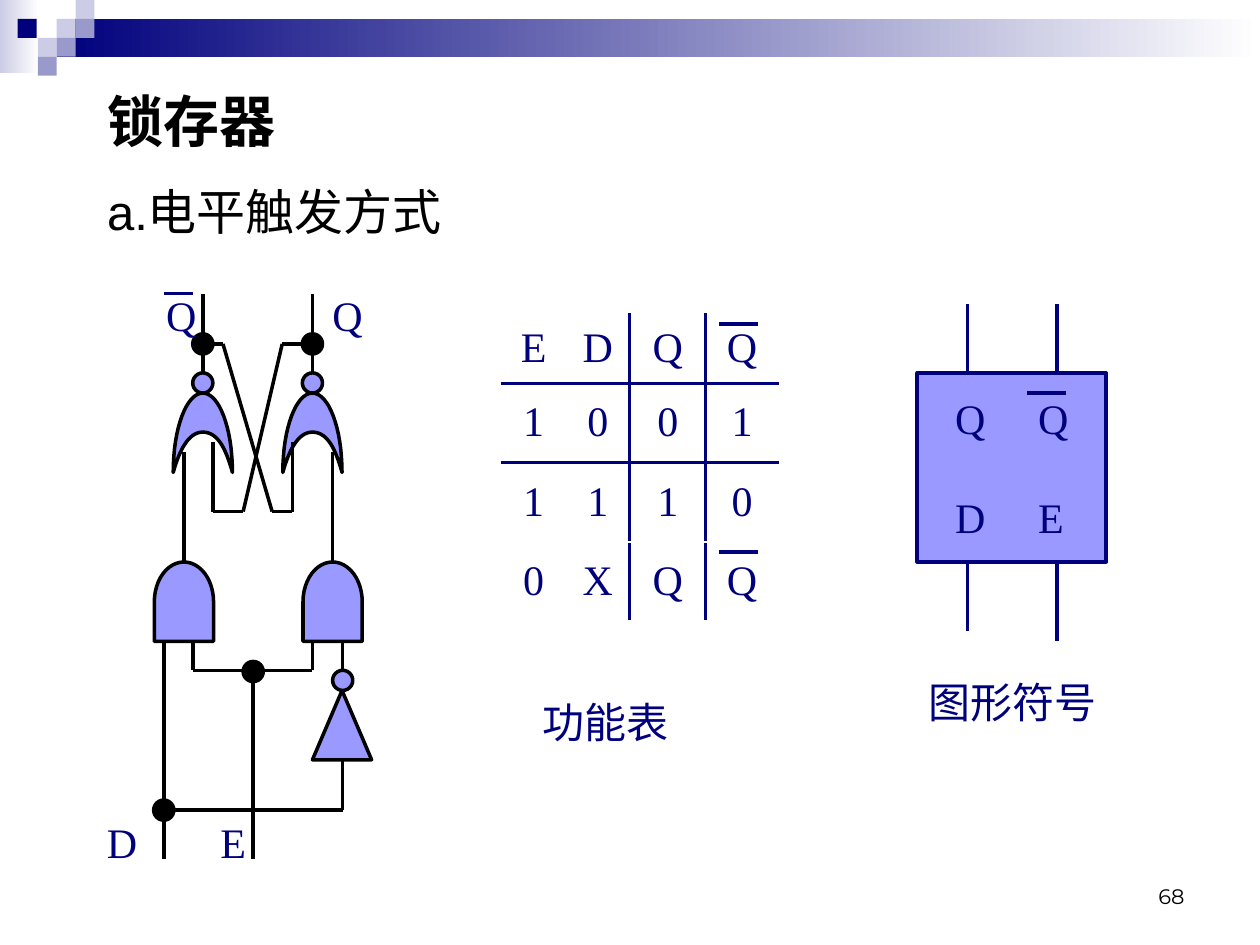
import pptx
import pptx.util
import pptx.dml.color
import pptx.enum.shapes
import pptx.enum.text
import pptx.oxml.ns
import lxml.etree

Inches, Pt = pptx.util.Inches, pptx.util.Pt
SHAPE = pptx.enum.shapes.MSO_SHAPE
ALIGN = pptx.enum.text.PP_ALIGN
ANCHOR = pptx.enum.text.MSO_ANCHOR
qn = pptx.oxml.ns.qn

COLORS = {"navy": "00007D", "gate": "9999FF", "black": "000000", "white": "FFFFFF",
          "pale": "CCCCE6", "mid": "9999CC"}
SERIF = "Times New Roman"

TITLE = "锁存器"
BODY = "a.电平触发方式"
PAGE = "68"

# Header decoration: gradient bands (box, start colour), then small squares (left, top, colour)
BANDS = [((0, 0, 0.31, 0.58), "pale"), ((0.45, 0.15, 9.55, 0.3), "navy")]
SQUARE = 0.15
SQUARES = [(0.45, 0.15, "pale"), (0.6, 0, "pale"), (0.6, 0.15, "mid"), (0.3, 0.3, "pale"),
           (0.14, 0.15, "navy"), (0.45, 0.3, "mid"), (0.3, 0.45, "mid")]

# Latch circuit
NOR_X = [1.61, 2.48]
AND_X = [1.46, 2.64]
BUBBLES = [(1.61, 3.04), (2.48, 3.04), (2.72, 5.4)]
DOTS = [(1.3, 6.43), (2.01, 5.33), (1.61, 2.73), (2.48, 2.73)]
DIAMETER = 0.16
WIRES = [
    [(1.46, 3.59), (1.46, 4.46)],
    [(2.64, 3.59), (2.64, 4.46)],
    [(2.72, 5.32), (2.72, 5.09)],
    [(1.61, 2.96), (1.61, 2.33)],
    [(2.48, 2.96), (2.48, 2.33)],
    [(1.61, 2.73), (1.77, 2.73), (2.16, 4.06), (2.32, 4.06), (2.32, 3.51)],
    [(2.48, 2.73), (2.24, 2.73), (1.93, 4.06), (1.69, 4.06), (1.69, 3.51)],
    [(1.3, 5.09), (1.3, 6.82)],
    [(1.3, 6.43), (2.72, 6.43), (2.72, 6.03)],
    [(1.53, 5.09), (1.53, 5.32), (2.48, 5.32), (2.48, 5.09)],
    [(2.01, 5.32), (2.01, 6.82)],
]

# Function table
ROWS = [["E", "D", "Q", "Q"], ["1", "0", "0", "1"], ["1", "1", "1", "0"], ["0", "X", "Q", "Q"]]
COL_WIDTHS = [0.51, 0.51, 0.6, 0.58]
ROW_HEIGHTS = [0.55, 0.63, 0.63, 0.63]

# Block symbol
BLOCK = (7.28, 2.96, 1.5, 1.5)
PINS = [[(7.68, 2.96), (7.68, 2.41)], [(8.39, 2.96), (8.39, 2.41)],
        [(7.68, 4.46), (7.68, 5.01)], [(8.39, 4.46), (8.39, 5.09)]]

# Bars above the inverted outputs: left, right, y
OVERBARS = [(1.3, 1.53, 2.33), (5.71, 6.02, 2.57), (5.71, 6.02, 4.38), (8.15, 8.46, 3.12)]

# Labels: box, text, tab stop
LABELS = [((1.22, 2.25, 1.81, 0.5), "Q\tQ", 1.32),
          ((0.75, 6.43, 2.05, 0.5), "D\tE", 0.9),
          ((4.21, 5.48, 1.81, 0.5), "功能表", None),
          ((7.27, 5.32, 1.59, 0.5), "图形符号", None)]


def rgb(name):
    return pptx.dml.color.RGBColor.from_string(COLORS[name])


def box(at):
    return [Inches(v) for v in at]


def set_font(p, size, name, color="black", bold=False):
    p.font.size, p.font.name, p.font.bold = Pt(size), name, bold
    p.font.color.rgb = rgb(color)


def add_tab(p, inches):
    tabs = lxml.etree.Element(qn("a:tabLst"))
    lxml.etree.SubElement(tabs, qn("a:tab"), pos=str(Inches(inches)), algn="l")
    p._p.get_or_add_pPr().insert(0, tabs)


def paint(sp, fill, line=None):
    sp.shadow.inherit = False
    sp.fill.solid()
    sp.fill.fore_color.rgb = rgb(fill)
    if line:
        sp.line.color.rgb = rgb(line)
        sp.line.width = Pt(2)
    else:
        sp.line.fill.background()
    return sp


def add_shape(s, kind, at, fill, line=None):
    return paint(s.shapes.add_shape(kind, *box(at)), fill, line)


def add_path(s, points, color):
    """Draw one straight connector between each pair of neighbouring points."""
    for start, end in zip(points, points[1:]):
        c = s.shapes.add_connector(pptx.enum.shapes.MSO_CONNECTOR.STRAIGHT, *box(start + end))
        c.line.color.rgb = rgb(color)
        c.line.width = Pt(2)
        lxml.etree.SubElement(c._element.spPr, qn("a:effectLst"))


def add_circle(s, center, fill):
    x, y = center
    r = DIAMETER / 2
    add_shape(s, SHAPE.OVAL, (x - r, y - r, DIAMETER, DIAMETER), fill, "black")


def add_text(s, at, text):
    tf = s.shapes.add_textbox(*box(at)).text_frame
    tf.word_wrap = True
    p = tf.paragraphs[0]
    p.text = text
    return p


def bezier(a, b, c, d, steps=16):
    """Points along a cubic curve, leaving out its start."""
    for i in range(1, steps + 1):
        t = i / steps
        u = 1 - t
        yield tuple(u**3 * e + 3 * u * u * t * f + 3 * u * t * t * g + t**3 * h
                    for e, f, g, h in zip(a, b, c, d))


def add_nor_body(s, x):
    right, left = (x + 0.235, 3.75), (x - 0.235, 3.75)
    inner, tip = (x, 3.43), (x, 3.12)
    curves = [(right, (x + 0.19, 3.59), (x + 0.13, 3.43), inner),
              (inner, (x - 0.12, 3.43), (x - 0.19, 3.59), left),
              (left, (x - 0.235, 3.4), (x - 0.13, 3.12), tip),
              (tip, (x + 0.13, 3.12), (x + 0.235, 3.4), right)]
    fb = s.shapes.build_freeform(*box(right))
    fb.add_line_segments([box(pt) for curve in curves for pt in bezier(*curve)])
    paint(fb.convert_to_shape(), "gate", "black")


def add_border(cell, side):
    ln = lxml.etree.SubElement(cell._tc.get_or_add_tcPr(), qn("a:" + side), w=str(Pt(2)))
    fill = lxml.etree.SubElement(ln, qn("a:solidFill"))
    lxml.etree.SubElement(fill, qn("a:srgbClr"), val=COLORS["navy"])


def add_function_table(s):
    at = (3.98, 2.49, sum(COL_WIDTHS), sum(ROW_HEIGHTS))
    table = s.shapes.add_table(len(ROWS), len(COL_WIDTHS), *box(at)).table
    table.first_row = table.horz_banding = False
    for col, width in zip(table.columns, COL_WIDTHS):
        col.width = Inches(width)
    for i, (height, row) in enumerate(zip(ROW_HEIGHTS, ROWS)):
        table.rows[i].height = Inches(height)
        for j, text in enumerate(row):
            cell = table.cell(i, j)
            if j in (1, 2):
                add_border(cell, "lnR" if j == 1 else "lnL")
            if i in (0, 1):
                add_border(cell, "lnB" if i == 0 else "lnT")
            cell.fill.background()
            cell.margin_left = cell.margin_right = cell.margin_top = cell.margin_bottom = 0
            cell.vertical_anchor = ANCHOR.MIDDLE
            p = cell.text_frame.paragraphs[0]
            p.text, p.alignment = text, ALIGN.CENTER
            set_font(p, 24, SERIF, "navy")


def add_block(s):
    tf = add_shape(s, SHAPE.RECTANGLE, BLOCK, "gate", "navy").text_frame
    tf.margin_left, tf.vertical_anchor = Inches(0.3), ANCHOR.MIDDLE
    tf.text = "Q\tQ\nD\tE"
    for p in tf.paragraphs:
        p.alignment = ALIGN.LEFT
        set_font(p, 24, SERIF, "navy")
        add_tab(p, 0.66)
    tf.paragraphs[1].space_before = Pt(28)


def fill_placeholder(sp, at, text, size, bold, anchor):
    sp.left, sp.top, sp.width, sp.height = box(at)
    tf = sp.text_frame
    tf.text, tf.vertical_anchor = text, anchor
    tf.auto_size = pptx.enum.text.MSO_AUTO_SIZE.NONE
    p = tf.paragraphs[0]
    p.alignment = ALIGN.LEFT
    set_font(p, size, "Arial", bold=bold)
    pPr = p._p.get_or_add_pPr()
    pPr.set("marL", "0")
    pPr.set("indent", "0")
    pPr.insert(0, lxml.etree.Element(qn("a:buNone")))


prs = pptx.Presentation()
prs.slide_width, prs.slide_height = Inches(10), Inches(7.5)
s = prs.slides.add_slide(prs.slide_layouts[1])

for at, start in BANDS:
    band = add_shape(s, SHAPE.RECTANGLE, at, start)
    band.fill.gradient()
    band.fill.gradient_angle = 0
    for stop, color in zip(band.fill.gradient_stops, (start, "white")):
        stop.color.rgb = rgb(color)
for x, y, color in SQUARES:
    add_shape(s, SHAPE.RECTANGLE, (x, y, SQUARE, SQUARE), color)

fill_placeholder(s.shapes.title, (0.75, 0.6, 2.04, 0.71), TITLE, 32, True, ANCHOR.MIDDLE)
fill_placeholder(s.placeholders[1], (0.75, 1.39, 2.99, 0.63), BODY, 28, False, ANCHOR.TOP)
p = add_text(s, (7.17, 6.96, 2.33, 0.37), PAGE)
p.alignment = ALIGN.RIGHT
set_font(p, 12, "Montserrat")

for x in NOR_X:
    add_nor_body(s, x)
for x in AND_X:
    add_shape(s, SHAPE.FLOWCHART_DELAY, (x - 0.315, 4.54, 0.63, 0.47), "gate", "black").rotation = 270
add_shape(s, SHAPE.FLOWCHART_EXTRACT, (2.48, 5.48, 0.47, 0.55), "gate", "black")
for center in BUBBLES:
    add_circle(s, center, "gate")
for wire in WIRES:
    add_path(s, wire, "black")
for center in DOTS:
    add_circle(s, center, "black")

add_function_table(s)
add_block(s)
for pin in PINS:
    add_path(s, pin, "navy")
for left, right, y in OVERBARS:
    add_path(s, [(left, y), (right, y)], "navy")
for at, text, tab in LABELS:
    p = add_text(s, at, text)
    set_font(p, 24, SERIF, "navy")
    if tab:
        add_tab(p, tab)

prs.save("out.pptx")
